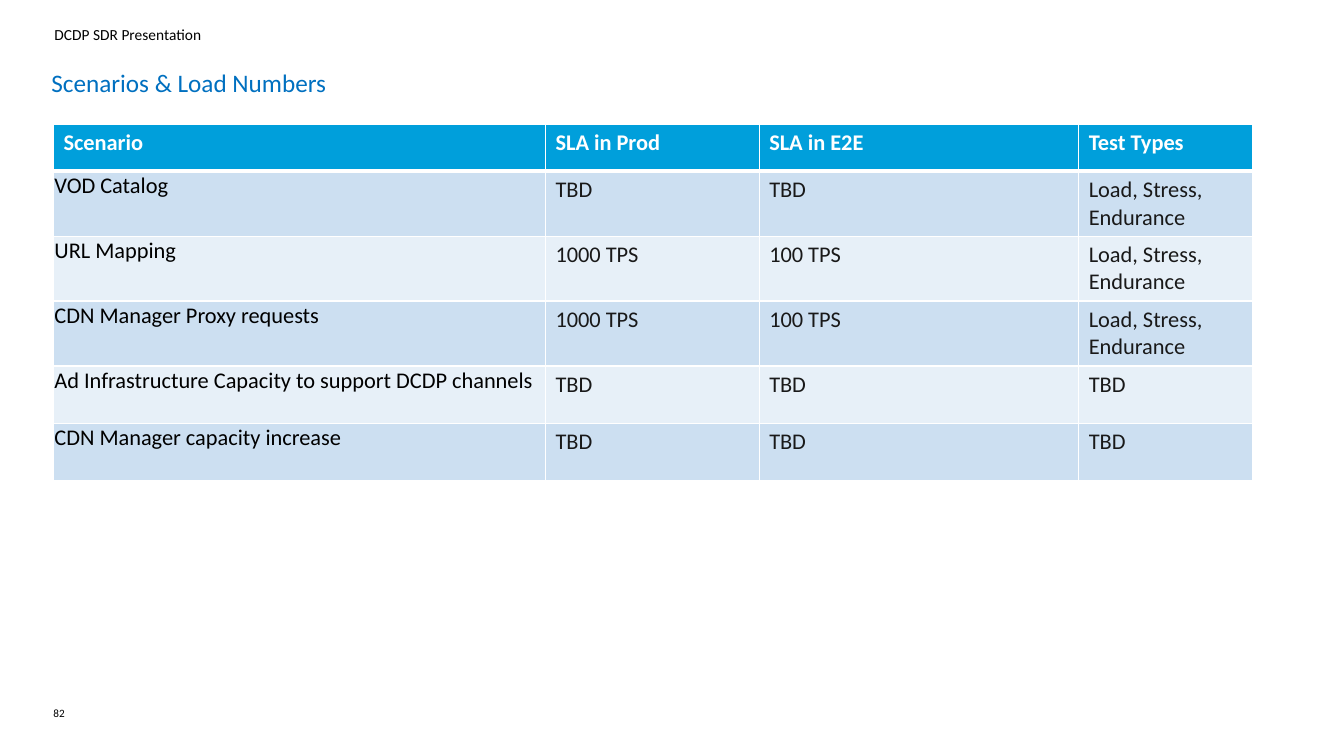
from pptx import Presentation
from pptx.dml.color import RGBColor
from pptx.enum.text import MSO_ANCHOR, MSO_AUTO_SIZE, PP_ALIGN
from pptx.util import Inches, Pt
from pptx.oxml import parse_xml
from pptx.oxml.ns import nsdecls

COLS = [4.88, 2.12, 3.17, 1.72]
ROWS = [0.47] + [0.63] * 3 + [0.57] * 2
MIX = "Load, Stress, Endurance"
DATA = [
    ["Scenario", "SLA in Prod", "SLA in E2E", "Test Types"],
    ["VOD Catalog", "TBD", "TBD", MIX],
    ["URL Mapping", "1000 TPS", "100 TPS", MIX],
    ["CDN Manager Proxy requests", "1000 TPS", "100 TPS", MIX],
    ["Ad Infrastructure Capacity to support DCDP channels", "TBD", "TBD", "TBD"],
    ["CDN Manager capacity increase", "TBD", "TBD", "TBD"],
]


def color(code):
    return RGBColor.from_string(code)


def write(frame, text, size=16, ink="000000", bold=False, line=None, after=0):
    para = frame.paragraphs[0]
    para.text = text
    para.alignment = PP_ALIGN.LEFT
    para.space_before, para.space_after = Pt(0), Pt(after)
    if line:
        para.line_spacing = line
    font = para.runs[0].font
    font.name, font.size, font.bold = "Calibri", Pt(size), bold
    font.color.rgb = color(ink)


def place(shape, box):
    """Move a text shape to its box, with no insets and text at the top."""
    shape.left, shape.top, shape.width, shape.height = map(Inches, box)
    frame = shape.text_frame
    frame.margin_left = frame.margin_top = frame.margin_right = frame.margin_bottom = 0
    frame.word_wrap = True
    frame.auto_size = MSO_AUTO_SIZE.NONE
    frame.vertical_anchor = MSO_ANCHOR.TOP
    return frame


def label(slide, box, text, **form):
    write(place(slide.shapes.add_textbox(0, 0, 0, 0), box), text, **form)


def title(slide, box, text):
    write(place(slide.shapes.title, box), text, size=18, ink="0070C0", line=1.1, after=10)


def border(cell, **sides):
    """Draw white lines; each side is given its width in points."""
    for side, width in sides.items():
        cell._tc.get_or_add_tcPr().append(parse_xml(
            f'<a:ln{side} {nsdecls("a")} w="{Pt(width)}"><a:solidFill>'
            f'<a:srgbClr val="FFFFFF"/></a:solidFill></a:ln{side}>'))


def style(cell, text, row, col):
    head = row == 0
    tight = col == 0 and not head
    side, top, base = (0.01, 0.01, 0) if tight else (0.1, 0.05, 0.05)
    cell.margin_left = cell.margin_right = Inches(side)
    cell.margin_top, cell.margin_bottom = Inches(top), Inches(base)
    border(cell, L=1, R=1, T=3 if row == 1 else 1, B=3 if head else 1)
    cell.fill.solid()
    cell.fill.fore_color.rgb = color(
        "009FDB" if head else "CCDFF1" if row % 2 else "E7F0F8")
    ink = "FFFFFF" if head else "000000" if tight else "191919"
    write(cell.text_frame, text, ink=ink, bold=head)


def grid(slide, left, top):
    table = slide.shapes.add_table(
        len(ROWS), len(COLS), Inches(left), Inches(top),
        Inches(sum(COLS)), Inches(sum(ROWS))).table
    for col, width in zip(table.columns, COLS):
        col.width = Inches(width)
    for row, height in zip(table.rows, ROWS):
        row.height = Inches(height)
    for r, line in enumerate(DATA):
        for c, text in enumerate(line):
            style(table.cell(r, c), text, r, c)


def main():
    deck = Presentation()
    deck.slide_width, deck.slide_height = Inches(13.33), Inches(7.5)
    slide = deck.slides.add_slide(deck.slide_layouts[5])
    label(slide, (0.54, 0.25, 12.26, 0.2), "DCDP SDR Presentation", size=11)
    label(slide, (0.53, 7, 0.32, 0.25), "82", size=8, line=Pt(10))
    grid(slide, 0.53, 1.23)
    title(slide, (0.51, 0.64, 12.32, 0.59), "Scenarios & Load Numbers")
    deck.save("out.pptx")


if __name__ == "__main__":
    main()
